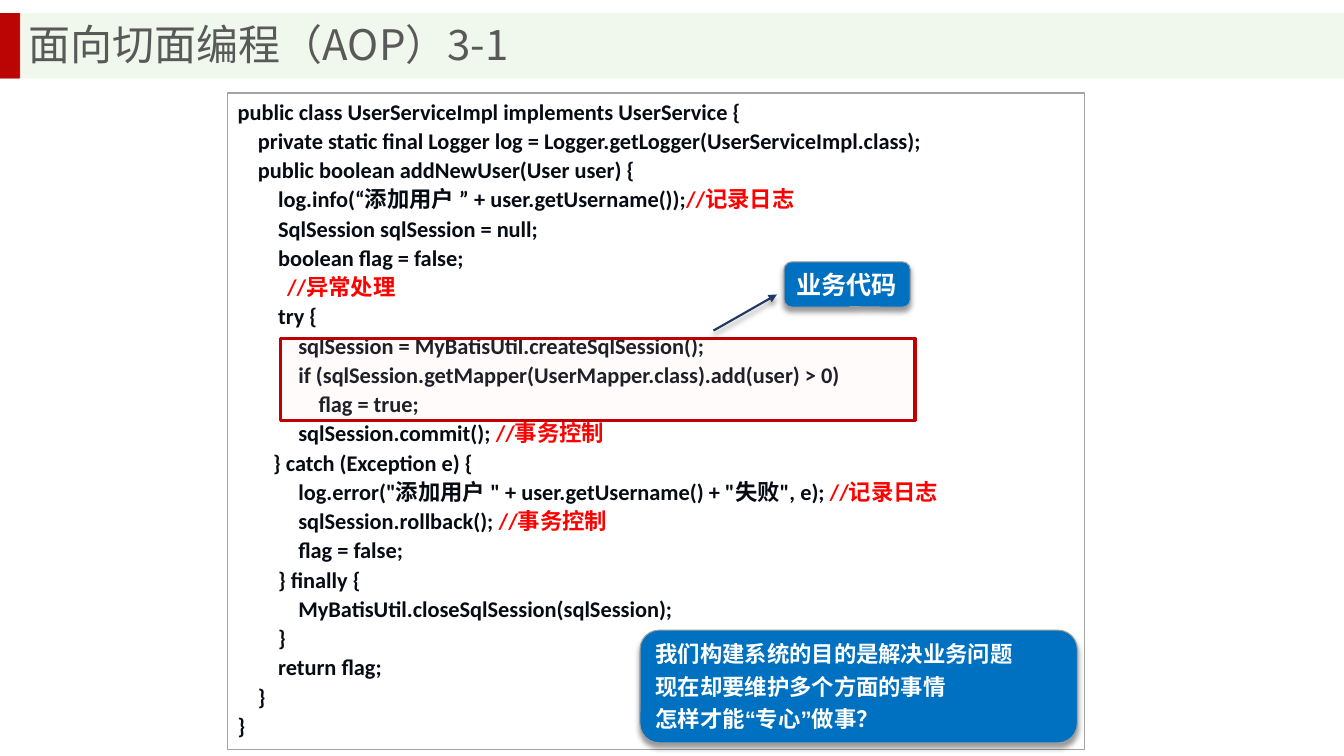
from lxml import etree
from pptx import Presentation
from pptx.dml.color import RGBColor
from pptx.enum.shapes import MSO_CONNECTOR, MSO_SHAPE
from pptx.enum.text import MSO_ANCHOR, PP_ALIGN
from pptx.oxml.ns import qn
from pptx.util import Cm, Pt

RECT = MSO_SHAPE.RECTANGLE
ROUNDED = MSO_SHAPE.ROUNDED_RECTANGLE
CALLOUT = MSO_SHAPE.ROUNDED_RECTANGULAR_CALLOUT
STRAIGHT = MSO_CONNECTOR.STRAIGHT
TOP, MIDDLE, BOTTOM = MSO_ANCHOR.TOP, MSO_ANCHOR.MIDDLE, MSO_ANCHOR.BOTTOM
LEFT = PP_ALIGN.LEFT

COLORS = {
    "band": "C5E0B4", "mark_dark": "990000", "red": "C00000", "title": "595959",
    "code": "060B14", "remark": "FF0000", "frame": "A5A5A5", "blush": "FFDDDD",
    "blue": "0070C0", "edge": "9D9D9D", "arrow": "203864", "white": "FFFFFF",
    "black": "000000",
}
INDENT = 0.51


class SlideArtist:
    """Holds the style and the current slide, and draws each kind of element."""

    def __init__(self, slide):
        self.slide = slide

    def color(self, name):
        return RGBColor.from_string(COLORS[name])

    def cast_shadow(self, effects):
        shadow = etree.SubElement(effects, qn("a:outerShdw"), blurRad=str(Pt(4)),
                                  dist=str(Pt(3)), dir="5400000", rotWithShape="0")
        tint = etree.SubElement(shadow, qn("a:srgbClr"), val=COLORS["black"])
        etree.SubElement(tint, qn("a:alpha"), val="40000")

    def shape(self, kind, box, fill, opacity=100, edge=None, width=1, adjust=(), shadow=False):
        shape = self.slide.shapes.add_shape(kind, *map(Cm, box))
        for position, value in enumerate(adjust):
            shape.adjustments[position] = value
        shape.fill.solid()
        shape.fill.fore_color.rgb = self.color(fill)
        properties = shape._element.spPr
        if opacity < 100:
            tint = properties.find(qn("a:solidFill")).find(qn("a:srgbClr"))
            etree.SubElement(tint, qn("a:alpha"), val=str(opacity * 1000))
        if edge:
            shape.line.color.rgb = self.color(edge)
            shape.line.width = Pt(width)
        else:
            shape.line.fill.background()
        shape.shadow.inherit = False
        if shadow:
            self.cast_shadow(properties.find(qn("a:effectLst")))
        return shape

    def arrow(self, start, end, color, width):
        arrow = self.slide.shapes.add_connector(STRAIGHT, *map(Cm, start + end))
        arrow.line.color.rgb = self.color(color)
        arrow.line.width = Pt(width)
        properties = arrow._element.spPr
        etree.SubElement(properties.find(qn("a:ln")), qn("a:tailEnd"), type="triangle")
        self.cast_shadow(etree.SubElement(properties, qn("a:effectLst")))

    def textbox(self, box):
        return self.slide.shapes.add_textbox(*map(Cm, box))

    def add_text(self, holder, lines, font, size, bold=True, anchor=MIDDLE,
                 before=0, spacing=1.0, wrap=True):
        frame = holder.text_frame
        frame.word_wrap = wrap
        frame.vertical_anchor = anchor
        for number, (depth, runs) in enumerate(lines):
            paragraph = frame.add_paragraph() if number else frame.paragraphs[0]
            paragraph.alignment = LEFT
            paragraph.space_before = Pt(before)
            paragraph.line_spacing = spacing
            if depth:
                paragraph._p.get_or_add_pPr().set("marL", str(Cm(depth * INDENT)))
            for words, color in runs:
                run = paragraph.add_run()
                run.text = words
                run.font.name = font
                run.font.size = Pt(size)
                run.font.bold = bold
                run.font.color.rgb = self.color(color)
                etree.SubElement(run._r.get_or_add_rPr(), qn("a:ea"), typeface=font)


CODE = [
    (0, "public class UserServiceImpl implements UserService {", ""),
    (1, "private static final Logger log = Logger.getLogger(UserServiceImpl.class);", ""),
    (1, "public boolean addNewUser(User user) {", ""),
    (2, "log.info(“添加用户 ” + user.getUsername());", "//记录日志"),
    (2, "SqlSession sqlSession = null;", ""),
    (2, "boolean flag = false;", ""),
    (2.44, "", "//异常处理"),
    (2, "try {", ""),
    (3, "sqlSession = MyBatisUtil.createSqlSession();", ""),
    (3, "if (sqlSession.getMapper(UserMapper.class).add(user) > 0)", ""),
    (4, "flag = true;", ""),
    (3, "sqlSession.commit();", " //事务控制"),
    (1.75, "} catch (Exception e) {", ""),
    (3, 'log.error("添加用户 " + user.getUsername() + "失败", e);', " //记录日志"),
    (3, "sqlSession.rollback();", " //事务控制"),
    (3, "flag = false;", ""),
    (2, "} finally {", ""),
    (3, "MyBatisUtil.closeSqlSession(sqlSession);", ""),
    (2, "}", ""),
    (2, "return flag;", ""),
    (1, "}", ""),
    (0, "}", ""),
]
QUESTIONS = ["我们构建系统的目的是解决业务问题", "现在却要维护多个方面的事情", "怎样才能“专心”做事？"]

presentation = Presentation()
presentation.slide_width, presentation.slide_height = Cm(33.87), Cm(19.05)
artist = SlideArtist(presentation.slides.add_slide(presentation.slide_layouts[6]))

for width, fill, opacity in [(33.87, "band", 25), (0.51, "mark_dark", 86), (0.48, "red", 85)]:
    artist.shape(RECT, (0, 0.33, width, 1.65), fill, opacity)
title = artist.textbox((0.48, 0, 32.77, 2.36))
artist.add_text(title, [(0, [("面向切面编程（AOP）3-1", "title")])],
                "Noto Sans CJK SC", 30, bold=False, spacing=0.9)

listing = artist.shape(ROUNDED, (5.74, 2.34, 21.59, 16.54), "white", edge="frame", adjust=[0])
code_lines = [
    (depth, [(words, color) for words, color in [(code, "code"), (remark, "remark")] if words])
    for depth, code, remark in CODE
]
artist.add_text(listing, code_lines, "Calibri", 16, anchor=TOP, before=1.7)
artist.shape(RECT, (7.06, 8.53, 16, 2.06), "blush", 10, edge="red", width=2.25)

business = artist.shape(CALLOUT, (19.76, 6.6, 3.18, 1.14), "blue", edge="edge", width=0.75,
                        adjust=[0.02, 0.49, 0.17], shadow=True)
artist.add_text(business, [(0, [("业务代码", "white")])], "Arial", 18, wrap=False)
artist.arrow((17.98, 8.33), (19.58, 7.42), "arrow", 1.5)

purpose = artist.shape(ROUNDED, (16.13, 15.88, 11.02, 2.84), "blue", edge="edge", width=0.75,
                       adjust=[0.17], shadow=True)
artist.add_text(purpose, [(0, [(question, "white")]) for question in QUESTIONS],
                "Arial", 16, anchor=BOTTOM, before=4)

presentation.save("out.pptx")
